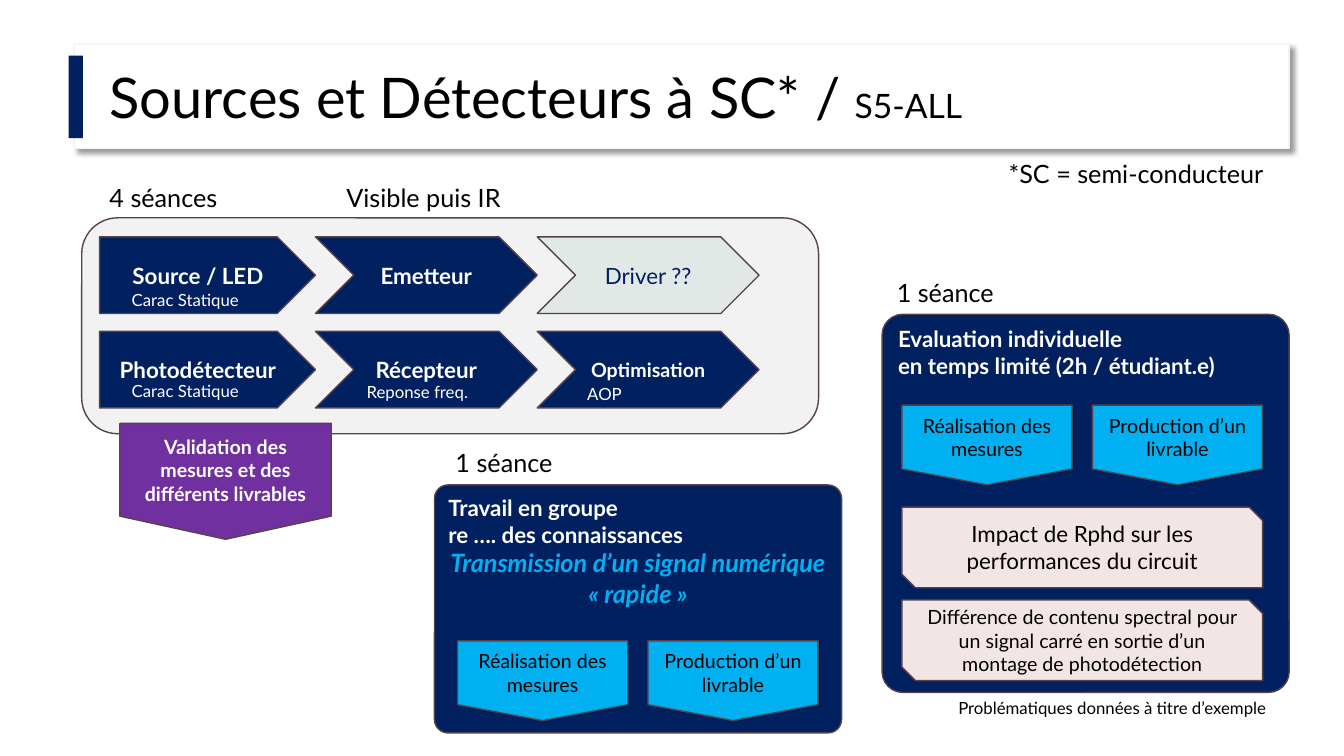
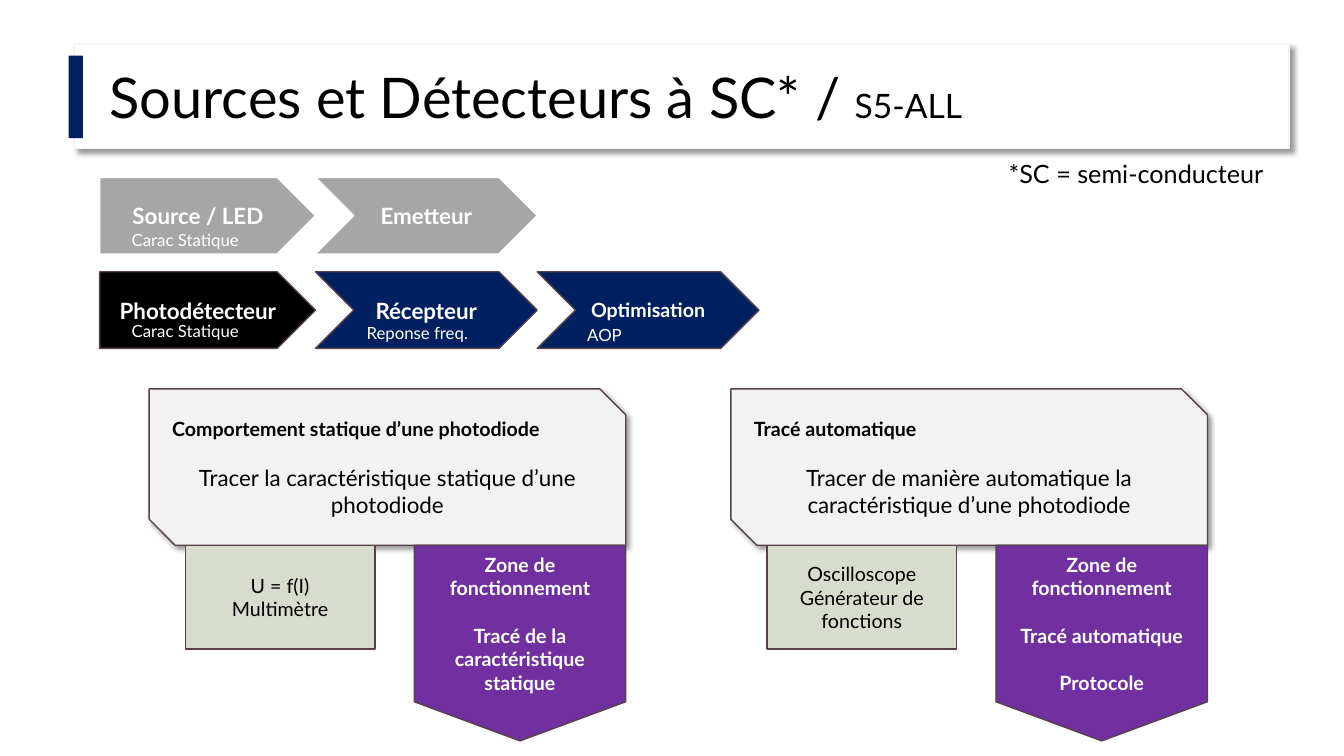
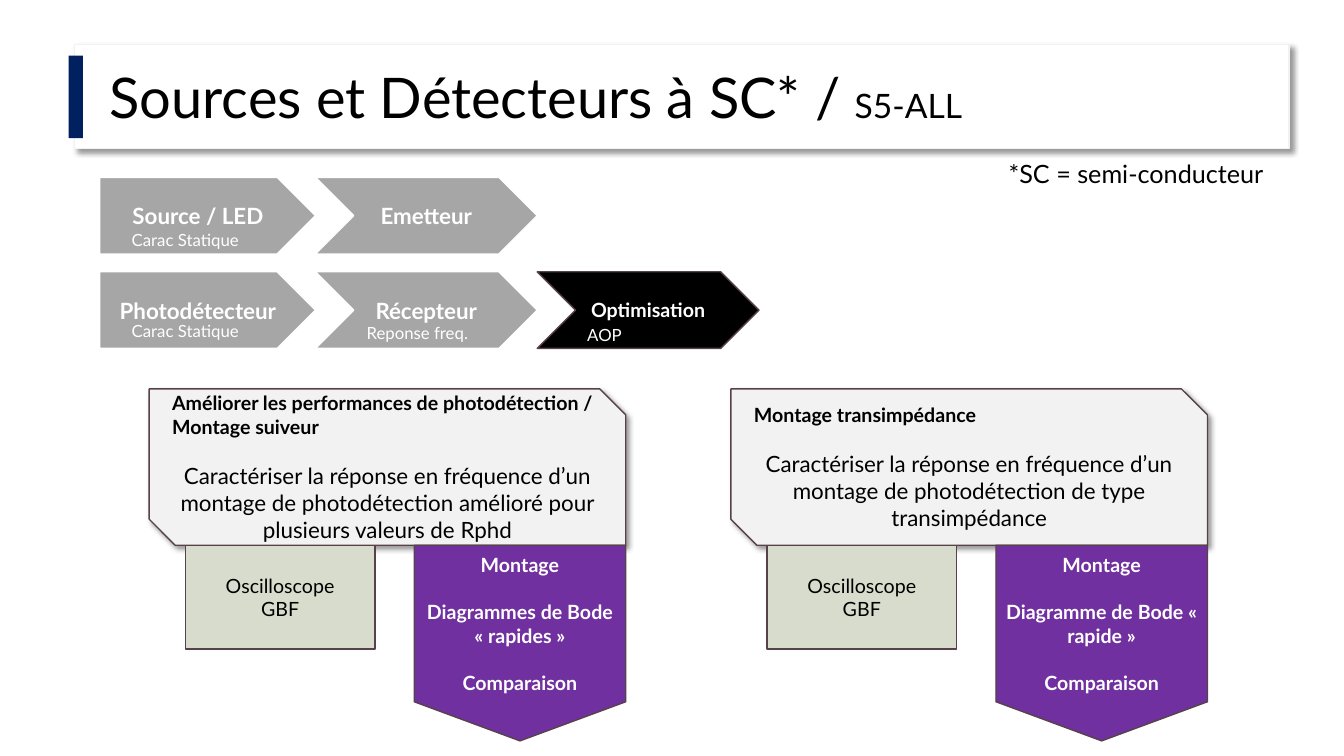
"""Three slides on the course "Sources et Détecteurs à SC": overview and two work sessions."""
from lxml import etree
from pptx import Presentation
from pptx.dml.color import RGBColor
from pptx.enum.shapes import MSO_SHAPE as SHAPE
from pptx.enum.text import MSO_ANCHOR as ANCHOR, PP_ALIGN as ALIGN
from pptx.oxml.ns import qn
from pptx.util import Cm, Pt

FONT = "Lato"
COLORS = {
    "white": "FFFFFF", "black": "000000", "navy": "002060", "edge": "574249",
    "light": "F2F2F2", "grey": "A6A6A6", "mist": "E2E8E6", "purple": "7030A0",
    "cyan": "00B0F0", "rose": "F1E6E5", "olive": "D7DCCC",
}
TITLE = [("Sources et Détecteurs à SC* / ", 40), ("S5-ALL", 24)]
NOTE = "*SC = semi-conducteur"

STATES = {
    "todo": ("navy", "edge", "white"),
    "done": ("grey", "white", "white"),
    "now": ("black", "edge", "white"),
    "option": ("mist", "edge", "navy"),
}
STEPS = {
    "source": (0, 0, "Source / LED", 16, "Carac Statique", 1.2),
    "emitter": (0, 1, "Emetteur", 16, None, 0),
    "driver": (0, 2, "Driver ??", 16, None, 0),
    "detector": (1, 0, "Photodétecteur", 16, "Carac Statique", 1.11),
    "receiver": (1, 1, "Récepteur", 16, "Reponse freq.", 1.15),
    "tuning": (1, 2, "Optimisation", 14, "AOP", 1.2),
}
COLUMNS = [(2.51, 5.44, 3.07), (7.95, 5.59, 8.99), (13.54, 5.59, 14.55)]
STEP_H, ROW_PITCH = 1.93, 2.38

OVERVIEW = {
    "source": "todo", "emitter": "todo", "driver": "option",
    "detector": "todo", "receiver": "todo", "tuning": "todo",
}
LABELS = [
    (2.51, 4.47, 3.38, "4 séances", 18),
    (8.48, 4.47, 4.55, "Visible puis IR", 18),
    (22.35, 6.86, 3.1, "1 séance", 18),
    (11.23, 11.15, 3.1, "1 séance", 18),
    (23.9, 17.45, 8.74, "Problématiques données à titre d’exemple", 12),
]
PANELS = [
    ((22.23, 7.92, 10.26, 9.53),
     [("Evaluation individuelle\nen temps limité (2h / étudiant.e)", {"size": 16, "bold": True})]),
    ((10.95, 12.22, 10.26, 6.25),
     [("Travail en groupe\nre …. des connaissances", {"size": 16, "bold": True}),
      ("Transmission d’un signal numérique « rapide »",
       {"size": 18, "bold": True, "italic": True, "color": "cyan", "align": ALIGN.CENTER})]),
]
TASKS = ["Réalisation des mesures", "Production d’un livrable"]
TASK_ROWS = [(22.73, 10.21), (11.53, 16.15)]
TASK_W, TASK_H, TASK_PITCH = 4.29, 2.01, 4.8
EXAMPLES = [
    ("Impact de Rphd sur les performances du circuit", 16),
    ("Différence de contenu spectral pour un signal carré en sortie d’un montage de photodétection", 14),
]
VALIDATION = "Validation des mesures et des différents livrables"

SESSIONS = [
    ({"source": "done", "emitter": "done", "detector": "now", "receiver": "todo", "tuning": "todo"},
     [("Comportement statique d’une photodiode",
       "Tracer la caractéristique statique d’une photodiode",
       ["U = f(I)", "Multimètre"],
       ["Zone de fonctionnement", "Tracé de la caractéristique statique"]),
      ("Tracé automatique",
       "Tracer de manière automatique la caractéristique d’une photodiode",
       ["Oscilloscope", "Générateur de fonctions"],
       ["Zone de fonctionnement", "Tracé automatique", "Protocole"])]),
    ({"source": "done", "emitter": "done", "detector": "done", "receiver": "done", "tuning": "now"},
     [("Améliorer les performances de photodétection / Montage suiveur",
       "Caractériser la réponse en fréquence d’un montage de photodétection amélioré "
       "pour plusieurs valeurs de Rphd",
       ["Oscilloscope", "GBF"],
       ["Montage", "Diagrammes de Bode « rapides »", "Comparaison"]),
      ("Montage transimpédance",
       "Caractériser la réponse en fréquence d’un montage de photodétection de type transimpédance",
       ["Oscilloscope", "GBF"],
       ["Montage", "Diagramme de Bode « rapide »", "Comparaison"])]),
]
CARD_X, CARD_Y, CARD_W, CARD_H, CARD_PITCH = 3.76, 9.8, 12.01, 3.94, 14.66
LINE_GAP = 17


def rgb(name):
    return RGBColor.from_string(COLORS[name])


def add_run(p, text, size, color, bold=False, italic=False):
    r = p.add_run()
    r.text = text
    f = r.font
    f.name, f.size, f.bold, f.italic = FONT, Pt(size), bold, italic
    f.color.rgb = rgb(color)


def write(tf, paragraphs, anchor=ANCHOR.MIDDLE, **defaults):
    tf.vertical_anchor = anchor
    for i, (text, style) in enumerate(paragraphs):
        style = {"size": 14, "color": "black", "align": ALIGN.CENTER, "before": 0, **defaults, **style}
        p = tf.paragraphs[0] if i == 0 else tf.add_paragraph()
        p.alignment = style.pop("align")
        before = style.pop("before")
        if i and before:
            p.space_before = Pt(before)
        for j, line in enumerate(text.split("\n")):
            if j:
                p.add_line_break()
            add_run(p, line, **style)


def add_shadow(sp):
    effects = sp._element.spPr.find(qn("a:effectLst"))
    shadow = etree.SubElement(effects, qn("a:outerShdw"), blurRad="50800", dist="38100",
                              dir="2700000", algn="tl", rotWithShape="0")
    color = etree.SubElement(shadow, qn("a:srgbClr"), val=COLORS["black"])
    etree.SubElement(color, qn("a:alpha"), val="40000")


def add_box(s, kind, box, fill, line="edge", shadow=False, adj=None):
    sp = s.shapes.add_shape(kind, *map(Cm, box))
    sp.shadow.inherit = False
    sp.fill.solid()
    sp.fill.fore_color.rgb = rgb(fill)
    if line:
        sp.line.color.rgb = rgb(line)
        sp.line.width = Pt(1)
    else:
        sp.line.fill.background()
    if adj is not None:
        sp.adjustments[0] = adj
    if shadow:
        add_shadow(sp)
    return sp


def add_label(s, x, y, w, text, size, color="black"):
    tf = s.shapes.add_textbox(Cm(x), Cm(y), Cm(w), Cm(size * 0.06)).text_frame
    tf.word_wrap = False
    write(tf, [(text, {})], ANCHOR.TOP, size=size, color=color, align=ALIGN.LEFT)


def add_slide(prs):
    s = prs.slides.add_slide(prs.slide_layouts[5])
    title = s.shapes.title
    add_box(s, SHAPE.RECTANGLE, (1.88, 1.12, 30.61, 2.62), "white", "light", shadow=True)
    add_box(s, SHAPE.RECTANGLE, (1.73, 1.4, 0.36, 2.08), "navy", None)
    s.shapes._spTree.append(title._element)
    title.left, title.top, title.width, title.height = map(Cm, (2.51, 1.63, 24.92, 1.96))
    tf = title.text_frame
    tf.vertical_anchor = ANCHOR.TOP
    p = tf.paragraphs[0]
    p.alignment = ALIGN.LEFT
    p.line_spacing = 0.9
    for text, size in TITLE:
        add_run(p, text, size, "black")
    add_label(s, 25.17, 3.86, 7.32, NOTE, 18)
    return s


def add_steps(s, top, states):
    for key, state in states.items():
        row, col, text, size, detail, drop = STEPS[key]
        fill, line, color = STATES[state]
        x, w, detail_x = COLUMNS[col]
        y = top + row * ROW_PITCH
        kind = SHAPE.CHEVRON if col else SHAPE.PENTAGON
        sp = add_box(s, kind, (x, y, w, STEP_H), fill, line)
        write(sp.text_frame, [(text, {})], size=size, color=color, bold=state != "option")
        if detail:
            add_label(s, detail_x, y + drop, 3.3, detail, 12, "white")


def add_overview(prs):
    s = add_slide(prs)
    add_box(s, SHAPE.ROUNDED_RECTANGLE, (2.06, 5.49, 18.57, 5.44), "light")
    add_steps(s, 5.97, OVERVIEW)
    sp = add_box(s, SHAPE.FLOWCHART_OFFPAGE_CONNECTOR, (3.02, 10.67, 5.33, 2.92), "purple")
    write(sp.text_frame, [(VALIDATION, {})], color="white", bold=True)
    for box, paragraphs in PANELS:
        sp = add_box(s, SHAPE.ROUNDED_RECTANGLE, box, "navy", adj=0.055)
        write(sp.text_frame, paragraphs, ANCHOR.TOP, color="white", align=ALIGN.LEFT)
    for x, y in TASK_ROWS:
        for i, task in enumerate(TASKS):
            sp = add_box(s, SHAPE.FLOWCHART_OFFPAGE_CONNECTOR,
                         (x + i * TASK_PITCH, y, TASK_W, TASK_H), "cyan")
            write(sp.text_frame, [(task, {})])
    for i, (text, size) in enumerate(EXAMPLES):
        sp = add_box(s, SHAPE.SNIP_2_DIAG_RECTANGLE, (22.73, 12.78 + i * 2.34, 9.09, 2.03), "rose")
        write(sp.text_frame, [(text, {})], size=size)
    for label in LABELS:
        add_label(s, *label)


def add_session(prs, states, cards):
    s = add_slide(prs)
    add_steps(s, 4.47, states)
    for i, (heading, goal, tools, results) in enumerate(cards):
        x, bottom = CARD_X + i * CARD_PITCH, CARD_Y + CARD_H
        sp = add_box(s, SHAPE.SNIP_2_DIAG_RECTANGLE, (x, CARD_Y, CARD_W, CARD_H), "light", shadow=True)
        write(sp.text_frame, [(heading, {"bold": True, "align": ALIGN.LEFT}),
                              (goal, {"size": 16, "before": LINE_GAP})])
        sp = add_box(s, SHAPE.RECTANGLE, (x + 0.91, bottom, 4.78, 2.62), "olive")
        write(sp.text_frame, [(tool, {}) for tool in tools])
        sp = add_box(s, SHAPE.FLOWCHART_OFFPAGE_CONNECTOR, (x + 6.68, bottom, 5.33, 4.93), "purple")
        write(sp.text_frame, [(result, {}) for result in results],
              color="white", bold=True, before=LINE_GAP)


def main():
    prs = Presentation()
    prs.slide_width, prs.slide_height = Cm(33.87), Cm(19.05)
    add_overview(prs)
    for states, cards in SESSIONS:
        add_session(prs, states, cards)
    prs.save("out.pptx")


if __name__ == "__main__":
    main()
